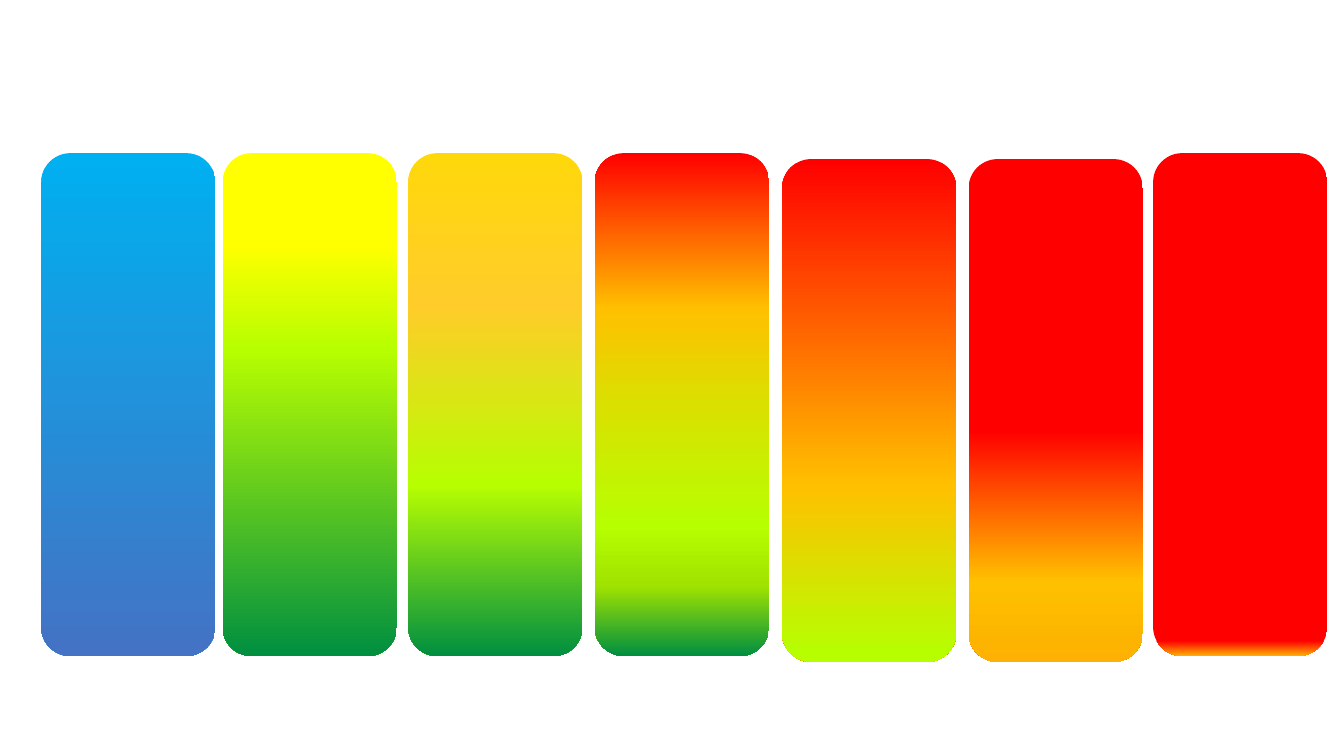
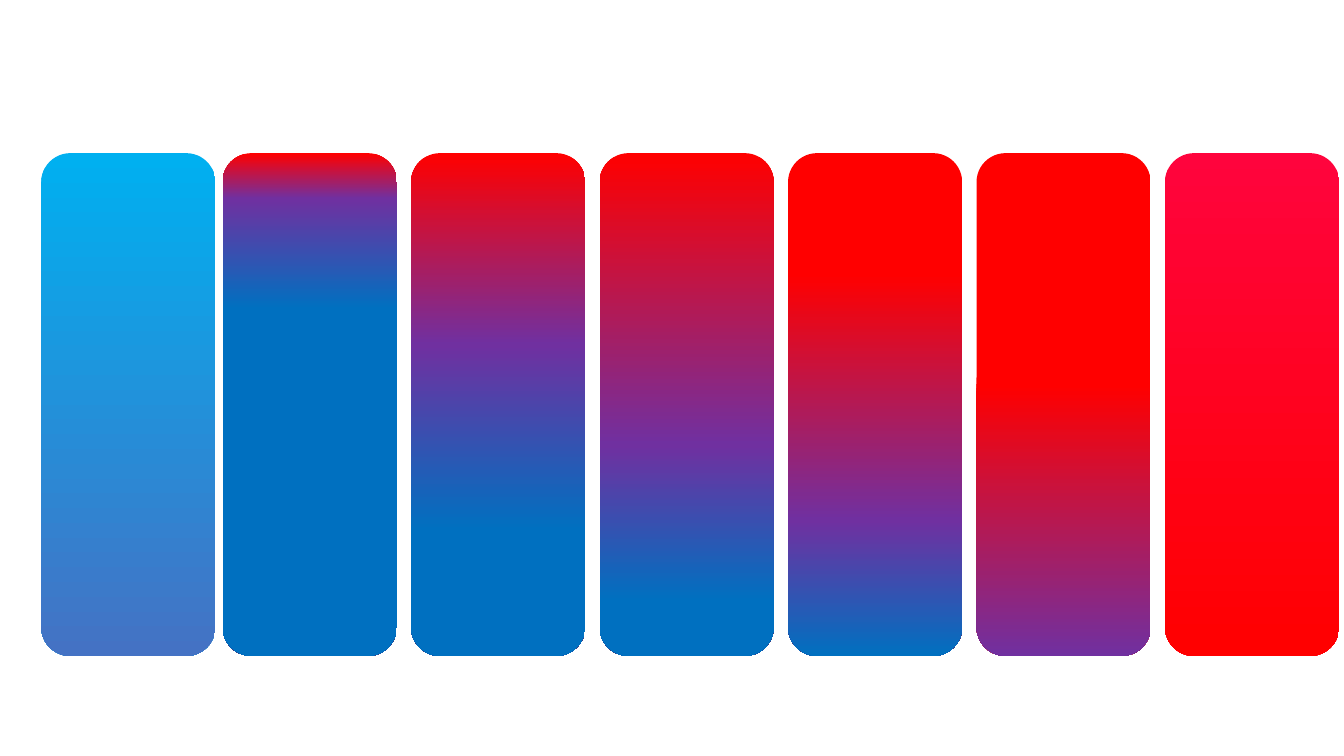
import pptx
import pptx.enum.shapes
import pptx.oxml.ns
import pptx.util
import lxml.etree

Cm = pptx.util.Cm
qn = pptx.oxml.ns.qn

# Shared colours and bar format
COLOURS = {
    "sky": "00B0F0", "steel": "4472C4", "blue": "0070C0", "purple": "7030A0",
    "red": "FF0000", "crimson": "FF043D", "amber": "FFC000", "orange": "FFB004",
    "deep amber": "FCB400", "gold": "FFD80C", "pale gold": "FFCC29",
    "yellow": "FFFF00", "olive": "DAE000", "lime": "B7FE01",
    "leaf": "A1E300", "green": "008F41",
}
BAR_FORMAT = {"width": Cm(4.39), "height": Cm(12.67)}
TOP, LOWERED_TOP = 3.86, 4.01
FIRST_LEFT, SECOND_LEFT, PITCH = 1.04, 5.61, 4.75
COLD_BAR = (FIRST_LEFT, TOP, [(0, "sky"), (100, "steel")])

# Bars: left, top, gradient stops (percent from the top, colour)
green_to_red = [
    COLD_BAR,
    (SECOND_LEFT, TOP, [(0, "yellow"), (18, "yellow"), (39, "lime"), (100, "green")]),
    (10.29, TOP, [(0, "gold"), (30, "pale gold"), (66, "lime"), (100, "green")]),
    (14.99, TOP, [(0, "red"), (31, "amber"), (50, "olive"), (74, "lime"),
                  (86, "leaf"), (100, "green")]),
    (19.71, LOWERED_TOP, [(0, "red"), (65, "amber"), (98, "lime"), (100, "lime")]),
    (24.41, LOWERED_TOP, [(54, "red"), (84, "amber"), (97, "deep amber"),
                          (100, "orange")]),
    (29.06, TOP, [(78, "red"), (97, "red"), (100, "orange"), (100, "red")]),
]
blue_to_red_stops = [
    [(0, "red"), (9, "purple"), (31, "blue"), (100, "blue")],
    [(0, "red"), (38, "purple"), (75, "blue"), (100, "blue")],
    [(0, "red"), (58, "purple"), (89, "blue"), (100, "blue")],
    [(0, "red"), (24, "red"), (73, "purple"), (100, "blue")],
    [(0, "red"), (46, "red"), (100, "purple")],
    [(0, "crimson"), (100, "red")],
]
blue_to_red = [COLD_BAR] + [
    (SECOND_LEFT + index * PITCH, TOP, stops)
    for index, stops in enumerate(blue_to_red_stops)
]

# Deck
deck = pptx.Presentation()
deck.slide_width, deck.slide_height = Cm(33.87), Cm(19.05)
blank_layout = deck.slide_layouts[6]

# One page per scale
for scale in (green_to_red, blue_to_red):
    page = deck.slides.add_slide(blank_layout)
    for left, top, stops in scale:
        bar = page.shapes.add_shape(
            pptx.enum.shapes.MSO_SHAPE.ROUNDED_RECTANGLE,
            Cm(left), Cm(top), Cm(1), Cm(1))
        for name, value in BAR_FORMAT.items():
            setattr(bar, name, value)
        bar.shadow.inherit = False
        bar.line.fill.background()

        # Vertical gradient with its own list of stops
        bar.fill.gradient()
        bar.fill.gradient_angle = 270
        stop_list = bar.element.spPr.find(".//" + qn("a:gsLst"))
        for old_stop in list(stop_list):
            stop_list.remove(old_stop)
        for percent, colour in stops:
            stop = lxml.etree.SubElement(stop_list, qn("a:gs"), pos=str(percent * 1000))
            lxml.etree.SubElement(stop, qn("a:srgbClr"), val=COLOURS[colour])

deck.save("out.pptx")
